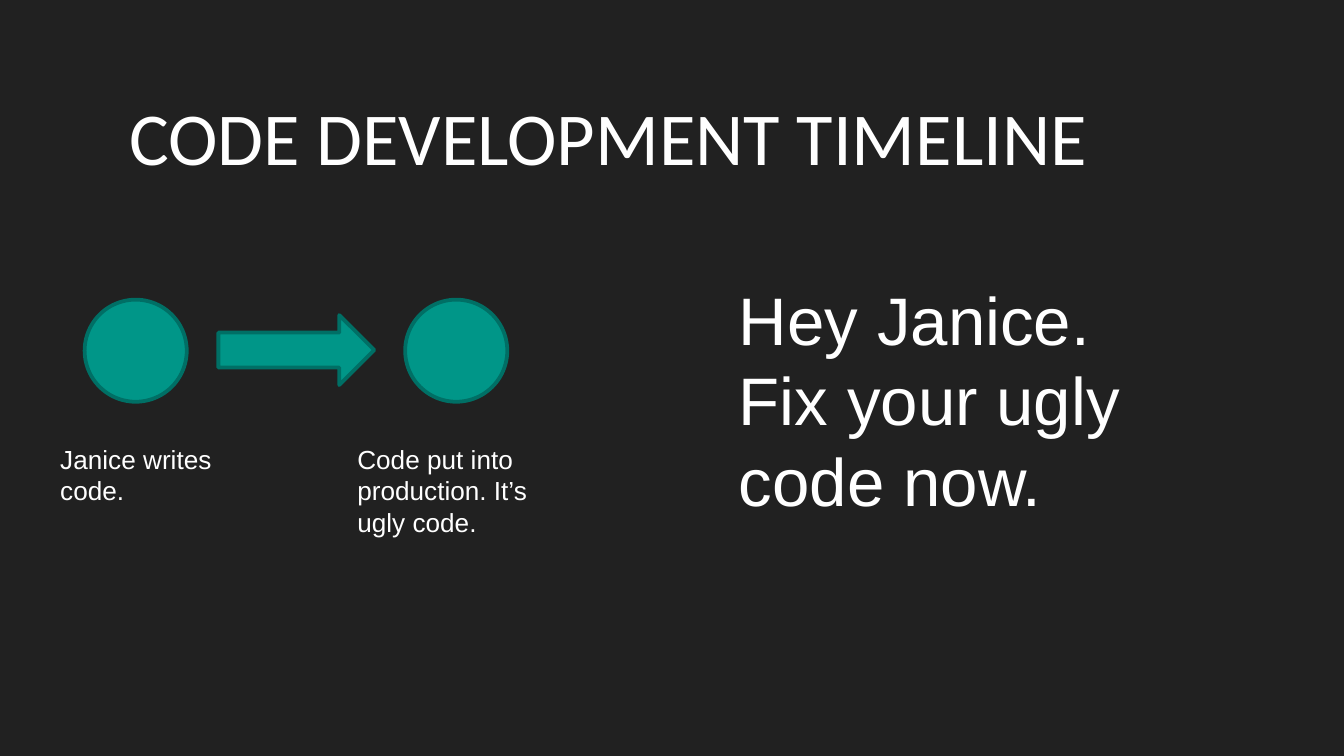
import pptx
import pptx.util
import pptx.dml.color
import pptx.enum.shapes
import pptx.enum.text

RGB = pptx.dml.color.RGBColor
KIND = pptx.enum.shapes.MSO_SHAPE
ALIGN = pptx.enum.text.PP_ALIGN
ANCHOR = pptx.enum.text.MSO_ANCHOR
FIT = pptx.enum.text.MSO_AUTO_SIZE

BACK = RGB(0x21, 0x21, 0x21)
TEAL = RGB(0x00, 0x96, 0x88)
EDGE = RGB(0x00, 0x6F, 0x65)
WHITE = RGB(0xFF, 0xFF, 0xFF)
SCALE = 4572


def px(num):
    """Turn px, at 200 to the inch, into EMU."""
    return pptx.util.Emu(num * SCALE)


def apply(item, form):
    """Set each attribute named in a dict of format values."""
    for key, val in form.items():
        setattr(item, key, val)


def write(shape, text, font, size):
    """Fill a shape with one left-aligned paragraph."""
    para = shape.text_frame.paragraphs[0]
    para.text = text
    apply(para, {"alignment": ALIGN.LEFT, "line_spacing": 1.0})
    apply(para.font, {"name": font, "size": pptx.util.Pt(size), "bold": False})
    para.font.color.rgb = WHITE


def head(slide, box, text):
    """Place the title placeholder in a box."""
    title = slide.shapes.title
    apply(title, dict(zip(("left", "top", "width", "height"), map(px, box))))
    form = {"word_wrap": True, "vertical_anchor": ANCHOR.BOTTOM, "auto_size": FIT.NONE}
    sides = ("left", "top", "right", "bottom")
    form.update({f"margin_{side}": px(20) for side in sides})
    apply(title.text_frame, form)
    write(title, text, "Calibri", 40)


def note(slide, box, text, size):
    """Add a wrapped text box."""
    label = slide.shapes.add_textbox(*map(px, box))
    apply(label.text_frame, {"word_wrap": True, "auto_size": FIT.SHAPE_TO_FIT_TEXT})
    write(label, text, "Arial", size)


def mark(slide, kind, box):
    """Add a teal shape with a darker edge."""
    shape = slide.shapes.add_shape(kind, *map(px, box))
    shape.shadow.inherit = False
    shape.fill.solid()
    shape.fill.fore_color.rgb = TEAL
    shape.line.color.rgb = EDGE
    shape.line.width = pptx.util.Pt(2)


def flow(slide, box):
    """Draw two steps joined by a block arrow, with a caption under each."""
    left, top, _, _ = box
    mark(slide, KIND.RIGHT_ARROW, (left + 255, top + 23, 232, 104))
    steps = (
        (56, 0, 266, 114, "Janice writes code."),
        (533, 442, 336, 162, "Code put into production. It’s ugly code."),
    )
    for dot, cap, wide, high, text in steps:
        mark(slide, KIND.OVAL, (left + dot, top, 152, 152))
        note(slide, (left + cap, top + 204, wide, high), text, 14)


def main():
    """Build the slide and save it."""
    deck = pptx.Presentation()
    apply(deck, {"slide_width": px(2000), "slide_height": px(1125)})
    slide = deck.slides.add_slide(deck.slide_layouts[0])
    slide.background.fill.solid()
    slide.background.fill.fore_color.rgb = BACK
    sub = slide.placeholders[1].element
    sub.getparent().remove(sub)
    head(slide, (172, 104, 1674, 184), "CODE DEVELOPMENT TIMELINE")
    flow(slide, (70, 446, 778, 366))
    note(slide, (1080, 404, 704, 384), "Hey Janice. Fix your ugly code now.", 36)
    deck.save("out.pptx")


if __name__ == "__main__":
    main()
